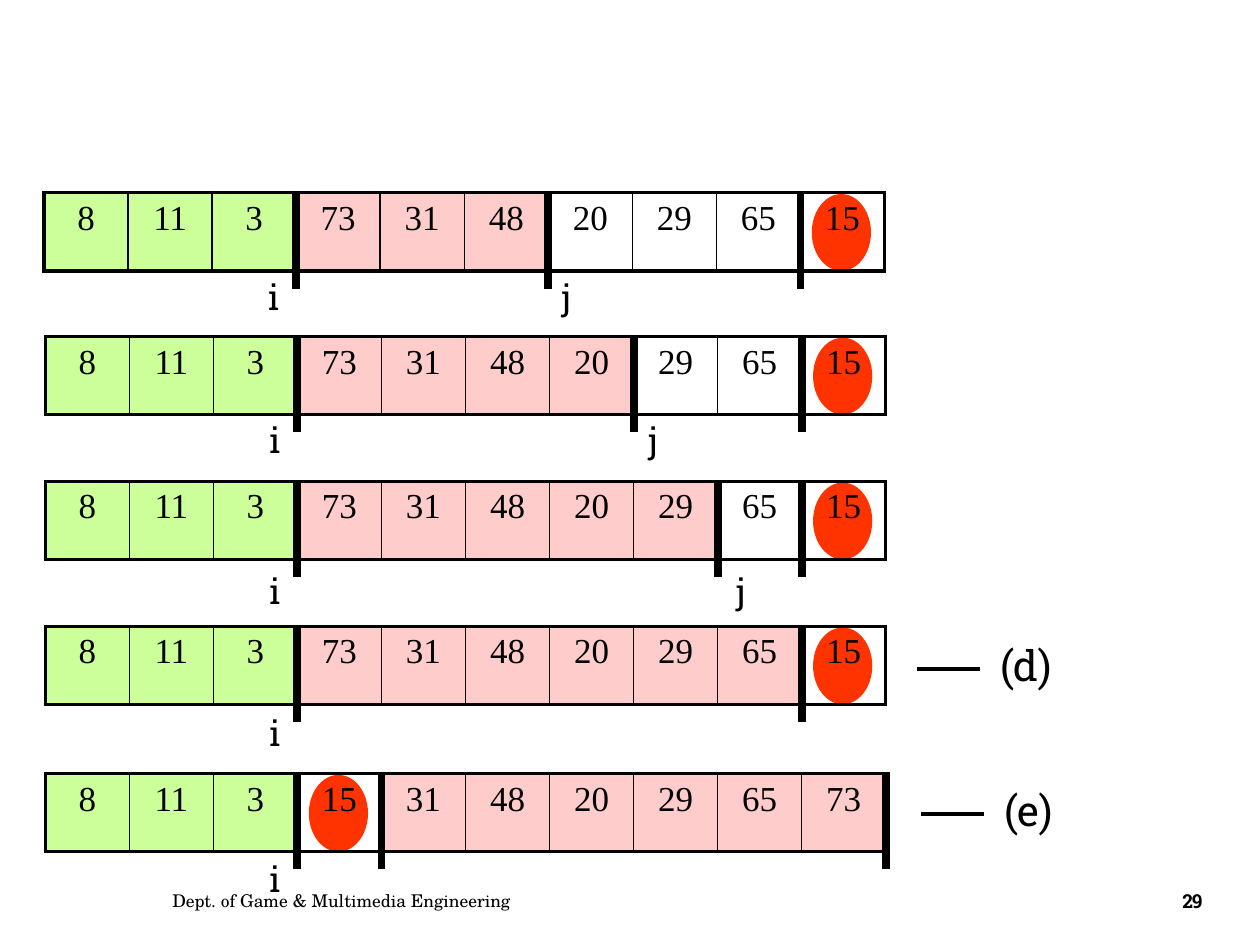
from lxml.etree import SubElement
from pptx import Presentation
from pptx.dml.color import RGBColor
from pptx.enum.shapes import MSO_CONNECTOR, MSO_SHAPE
from pptx.enum.text import MSO_ANCHOR, MSO_AUTO_SIZE, PP_ALIGN
from pptx.oxml.ns import qn
from pptx.util import Inches, Pt

BLACK = RGBColor(0x00, 0x00, 0x00)
GREEN = RGBColor(0xCC, 0xFF, 0x99)
PINK = RGBColor(0xFF, 0xCC, 0xCC)
RED = RGBColor(0xFF, 0x33, 0x00)
SLAB = "Roboto Slab"
SERIF = "Times New Roman"
SCHOOL = "TeX Gyre Schola"
WIDE, HIGH = 6.67, 0.62
STEP = WIDE / 10


def write(frame, text, size=20, font=SLAB, bold=False, align=PP_ALIGN.LEFT, gap=None):
    par = frame.paragraphs[0]
    par.alignment = align
    run = par.add_run()
    run.text = text
    run.font.size = Pt(size)
    run.font.name = font
    run.font.bold = bold
    run.font.color.rgb = BLACK
    if gap is not None:
        run.font._element.set("spc", str(gap))


def add_label(slide, text, left, top, width, height, fit=True, **form):
    box = slide.shapes.add_textbox(
        Inches(left), Inches(top), Inches(width), Inches(height))
    frame = box.text_frame
    frame.word_wrap = not fit
    if fit:
        frame.auto_size = MSO_AUTO_SIZE.SHAPE_TO_FIT_TEXT
    else:
        frame.vertical_anchor = MSO_ANCHOR.MIDDLE
    write(frame, text, **form)


def add_line(slide, x1, y1, x2, y2, width):
    line = slide.shapes.add_connector(
        MSO_CONNECTOR.STRAIGHT, Inches(x1), Inches(y1), Inches(x2), Inches(y2))
    line.line.color.rgb = BLACK
    line.line.width = Pt(width)
    SubElement(line._element.spPr, qn("a:effectLst"))


def set_edge(cell, side, width):
    edge = SubElement(cell._tc.get_or_add_tcPr(), qn("a:ln" + side), w=str(Pt(width)))
    fill = SubElement(edge, qn("a:solidFill"))
    SubElement(fill, qn("a:srgbClr"), val=str(BLACK))


def add_cells(slide, left, top, nums, pivot, split):
    shape = slide.shapes.add_table(
        1, len(nums), Inches(left), Inches(top), Inches(WIDE), Inches(HIGH))
    table = shape.table
    table.first_row = table.horz_banding = False
    last = len(nums) - 1
    for col, num in enumerate(nums):
        cell = table.cell(0, col)
        write(cell.text_frame, str(num), font=SERIF, align=PP_ALIGN.CENTER)
        set_edge(cell, "L", 2.25 if col == 0 else 1)
        set_edge(cell, "R", 2.25 if col == last else 1)
        set_edge(cell, "T", 2.25)
        set_edge(cell, "B", 2.25)
        if col == pivot or col >= split:
            cell.fill.background()
        else:
            cell.fill.solid()
            cell.fill.fore_color.rgb = GREEN if col < 3 else PINK


def add_row(slide, left, top, nums, split, bars, drop, shift=None):
    pivot = nums.index(15)
    disc = slide.shapes.add_shape(
        MSO_SHAPE.OVAL, Inches(left + pivot * STEP + 0.09), Inches(top + 0.01),
        Inches(0.47), Inches(0.61))
    disc.shadow.inherit = False
    disc.fill.solid()
    disc.fill.fore_color.rgb = RED
    disc.line.fill.background()
    add_cells(slide, left, top, nums, pivot, split)
    for bar in bars:
        x = left + bar * STEP
        add_line(slide, x, top - 0.01, x, top + 0.76, 4.5)
    add_label(slide, "i", left + 1.68, top + drop, 0.26, 0.43)
    if shift is not None:
        add_label(slide, "j", left + split * STEP + shift, top + drop, 0.26, 0.43)


def add_tag(slide, left, top, text):
    add_line(slide, left, top + 0.28, left + 0.5, top + 0.28, 2.25)
    add_label(slide, text, left + 0.56, top, 0.61, 0.5, size=24)


def add_foot(slide, left, top):
    add_label(slide, "Dept. of Game & Multimedia Engineering", left, top, 4.59, 0.4,
              fit=False, size=10, font=SCHOOL)
    add_label(slide, "29", left + 7.93, top, 0.53, 0.4, fit=False, size=11,
              bold=True, align=PP_ALIGN.CENTER, gap=-70)


def main():
    deck = Presentation()
    deck.slide_width, deck.slide_height = Inches(10), Inches(7.5)
    slide = deck.slides.add_slide(deck.slide_layouts[6])
    start = [8, 11, 3, 73, 31, 48, 20, 29, 65, 15]
    final = [8, 11, 3, 15, 31, 48, 20, 29, 65, 73]
    rows = [
        (0.35, 1.53, start, 6, (3, 6, 9), 0.61, 0.01),
        (0.36, 2.67, start, 7, (3, 7, 9), 0.6, 0.02),
        (0.36, 3.82, start, 8, (3, 8, 9), 0.65, 0.05),
        (0.36, 4.97, start, 9, (3, 9), 0.63),
        (0.36, 6.14, final, 10, (3, 4, 10), 0.62),
    ]
    for row in rows:
        add_row(slide, *row)
    add_tag(slide, 7.28, 5.03, "(d)")
    add_tag(slide, 7.31, 6.18, "(e)")
    add_foot(slide, 1.27, 6.95)
    deck.save("out.pptx")


if __name__ == "__main__":
    main()
